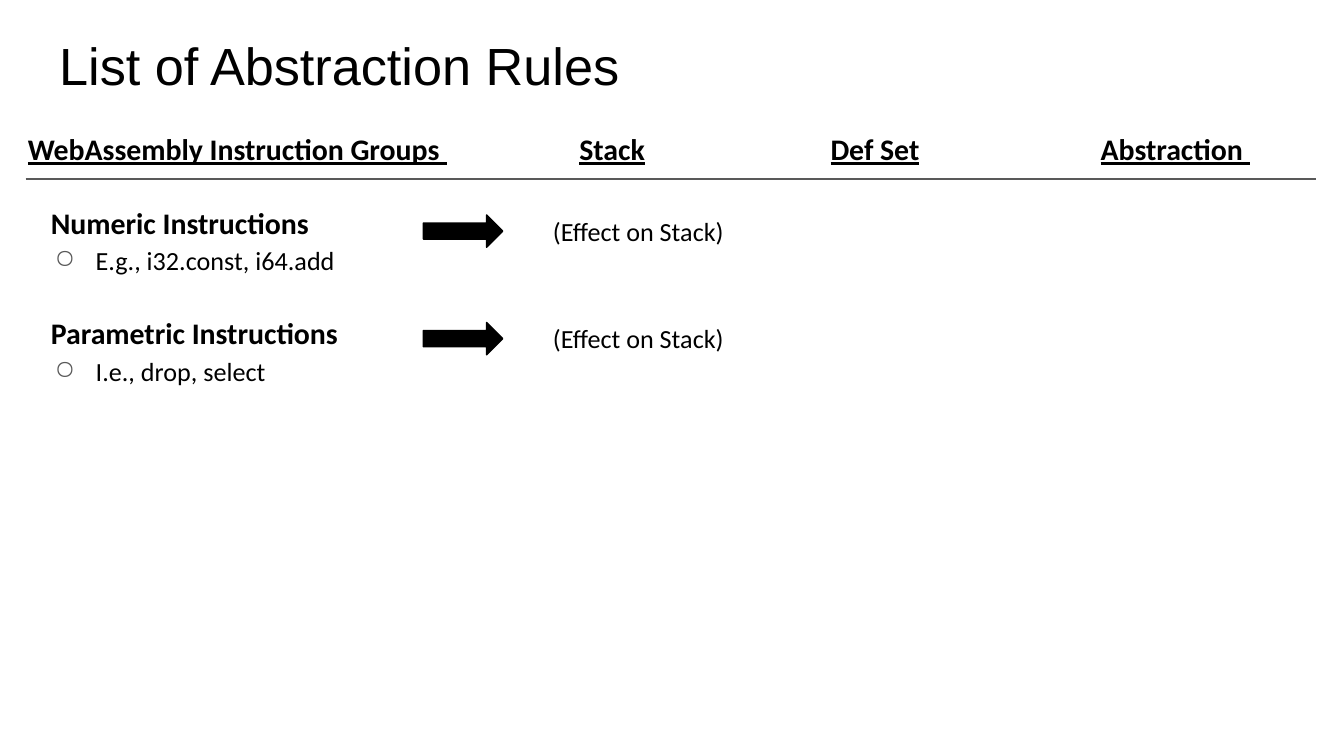
"""Build the slide that lists abstraction rules for instruction groups."""
from lxml.etree import SubElement
from pptx import Presentation
from pptx.dml.color import RGBColor
from pptx.enum.shapes import MSO_CONNECTOR, MSO_SHAPE
from pptx.enum.text import MSO_ANCHOR, MSO_AUTO_SIZE, PP_ALIGN
from pptx.oxml.ns import qn
from pptx.util import Pt

COLOURS = {"ink": "000000", "grey": "595959", "paper": "FFFFFF"}
FONTS = {"title": "Arial", "text": "Calibri"}
INSET = 7.2
HEADERS = [
    ("WebAssembly Instruction Groups ", 0, 254.2),
    ("Stack", 161.3, 333.4),
    ("Def Set", 394.6, 148.3),
    ("Abstraction ", 552.2, 154.8),
]
GROUPS = [
    ("Numeric Instructions", "E.g., i32.const, i64.add"),
    ("Parametric Instructions", "I.e., drop, select"),
]


class RuleSlide:
    """Hold the style and the current page, and draw each kind of element."""

    def __init__(self, deck):
        self.page = deck.slides.add_slide(deck.slide_layouts[5])
        self.page.background.fill.solid()
        self.page.background.fill.fore_color.rgb = self.colour("paper")

    def colour(self, name):
        return RGBColor.from_string(COLOURS[name])

    def place(self, shape, left, top, width, height):
        shape.left, shape.top = Pt(left), Pt(top)
        shape.width, shape.height = Pt(width), Pt(height)

    def frame(self, shape, vertical=INSET, anchor=MSO_ANCHOR.TOP, fit=MSO_AUTO_SIZE.NONE):
        frame = shape.text_frame
        frame.word_wrap = True
        frame.auto_size = fit
        frame.vertical_anchor = anchor
        frame.margin_left = frame.margin_right = Pt(INSET)
        frame.margin_top = frame.margin_bottom = Pt(vertical)
        return frame

    def span(self, para, text, size, font="text", bold=False, underline=False):
        span = para.add_run()
        span.text = text
        span.font.name = FONTS[font]
        span.font.size = Pt(size)
        span.font.bold = bold
        span.font.underline = underline
        span.font.color.rgb = self.colour("ink")

    def title(self, text):
        box = self.page.shapes.title
        self.place(box, 24.5, 7.2, 671, 54.7)
        para = self.frame(box, anchor=MSO_ANCHOR.MIDDLE).paragraphs[0]
        para.alignment = PP_ALIGN.LEFT
        self.span(para, text, 28, "title")

    def text_box(self, left, top, width, height, **layout):
        box = self.page.shapes.add_textbox(Pt(left), Pt(top), Pt(width), Pt(height))
        return self.frame(box, **layout)

    def header(self, text, left, width):
        frame = self.text_box(left, 59.8, width, 33.8, fit=MSO_AUTO_SIZE.SHAPE_TO_FIT_TEXT)
        para = frame.paragraphs[0]
        para.alignment = PP_ALIGN.CENTER
        para.line_spacing = 1.15
        para.space_after = Pt(12)
        self.span(para, text, 16, bold=True, underline=True)

    def bullet(self, para):
        props = para._p.get_or_add_pPr()
        props.set("marL", str(Pt(24)))
        props.set("indent", str(Pt(-22)))
        SubElement(SubElement(props, qn("a:buClr")), qn("a:srgbClr")).set("val", COLOURS["grey"])
        SubElement(props, qn("a:buChar")).set("char", "○")

    def groups(self, groups):
        frame = self.text_box(20.2, 99.4, 333.4, 290.9)
        for index, (name, examples) in enumerate(groups):
            heading = frame.add_paragraph() if index else frame.paragraphs[0]
            heading.line_spacing = 1.15
            heading.space_before = Pt(18 if index else 0)
            self.span(heading, name, 16, bold=True)
            item = frame.add_paragraph()
            item.line_spacing = 1.15
            self.bullet(item)
            self.span(item, examples, 14)

    def rule(self, left, right, top):
        line = self.page.shapes.add_connector(
            MSO_CONNECTOR.STRAIGHT, Pt(left), Pt(top), Pt(right), Pt(top))
        line.line.color.rgb = self.colour("grey")
        line.line.width = Pt(1)
        SubElement(line._element.spPr, qn("a:effectLst"))

    def arrow(self, top):
        arrow = self.page.shapes.add_shape(
            MSO_SHAPE.RIGHT_ARROW, Pt(226.8), Pt(top), Pt(42.5), Pt(17.3))
        arrow.shadow.inherit = False
        arrow.fill.solid()
        arrow.fill.fore_color.rgb = self.colour("ink")
        arrow.line.color.rgb = self.colour("ink")
        arrow.line.width = Pt(0.75)

    def effect(self, text, top):
        frame = self.text_box(268.6, top, 146.9, 17.3, vertical=0,
                              fit=MSO_AUTO_SIZE.SHAPE_TO_FIT_TEXT)
        para = frame.paragraphs[0]
        para.alignment = PP_ALIGN.CENTER
        self.span(para, text, 14)


def main():
    deck = Presentation()
    deck.slide_width, deck.slide_height = Pt(720), Pt(405)
    slide = RuleSlide(deck)
    slide.title("List of Abstraction Rules")
    slide.groups(GROUPS)
    for text, left, width in HEADERS:
        slide.header(text, left, width)
    slide.rule(13.7, 704.9, 95.8)
    for index in range(len(GROUPS)):
        top = 115.2 + 57.6 * index
        slide.arrow(top)
        slide.effect("(Effect on Stack)", top)
    deck.save("out.pptx")


if __name__ == "__main__":
    main()
